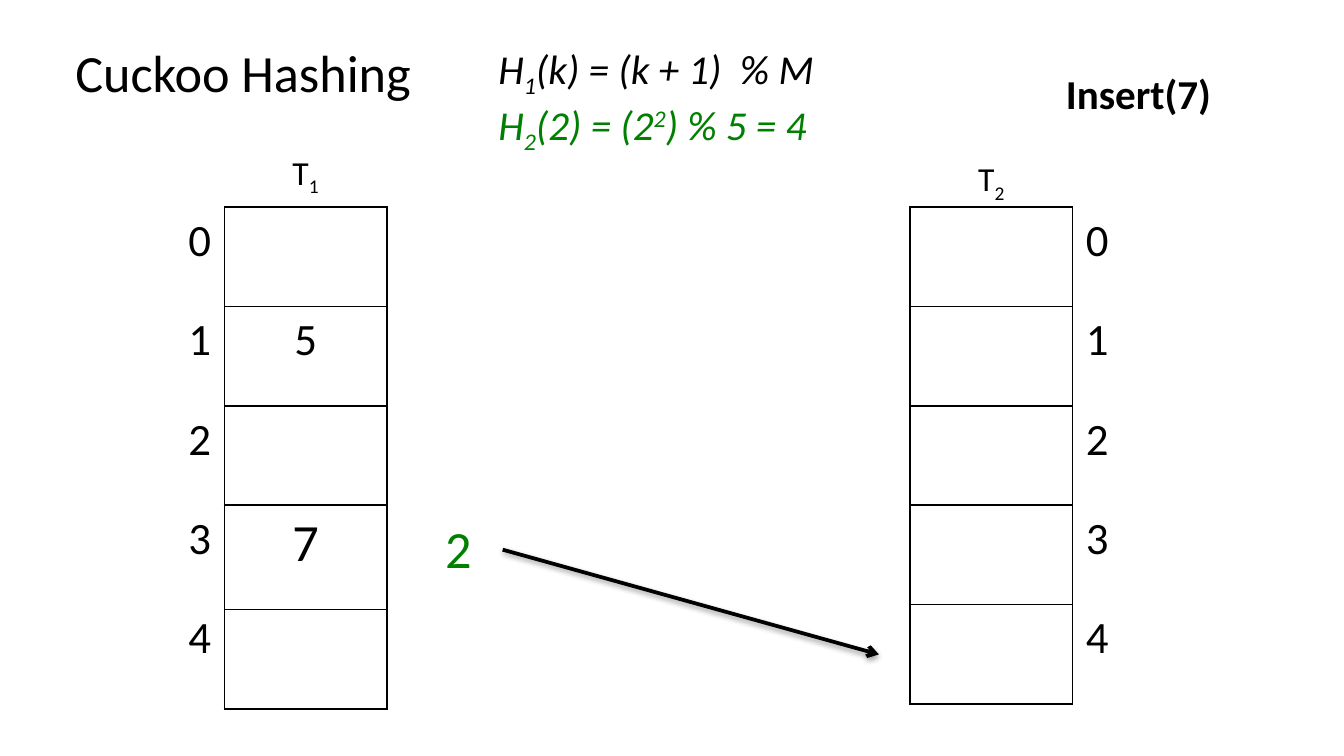
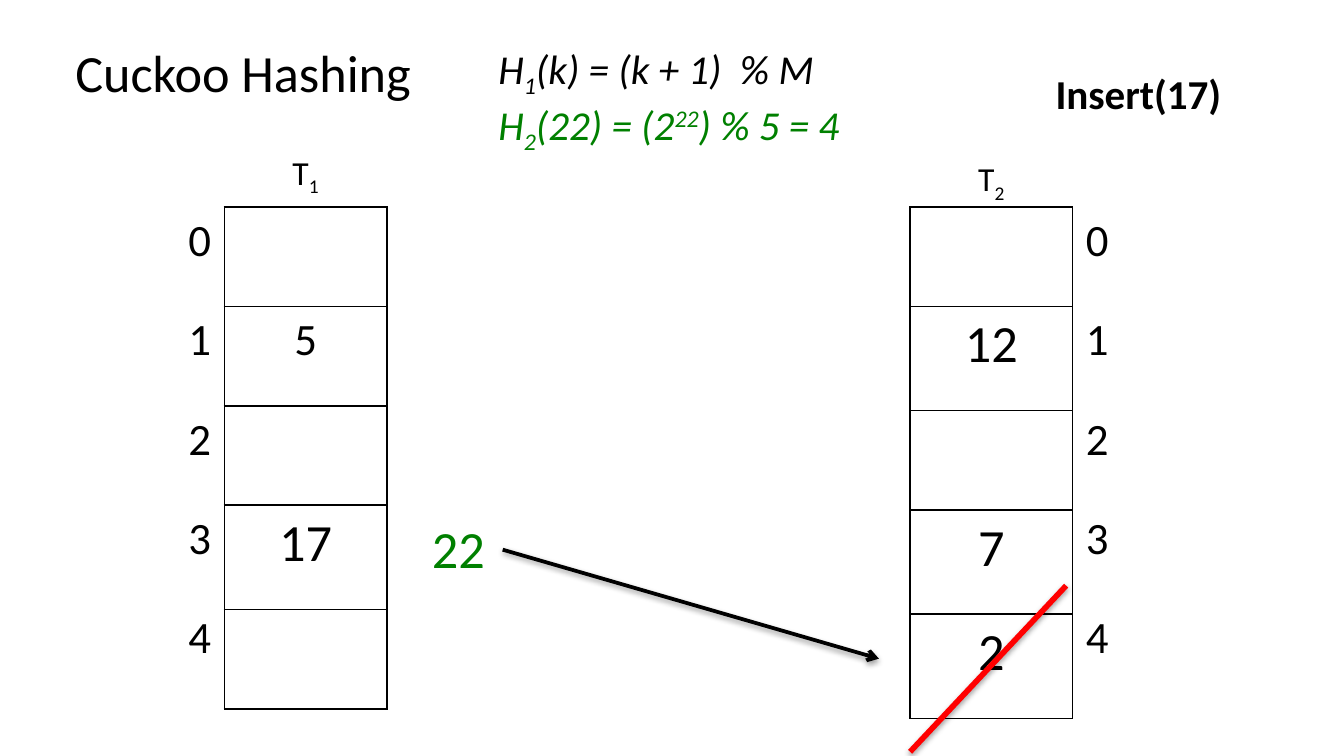
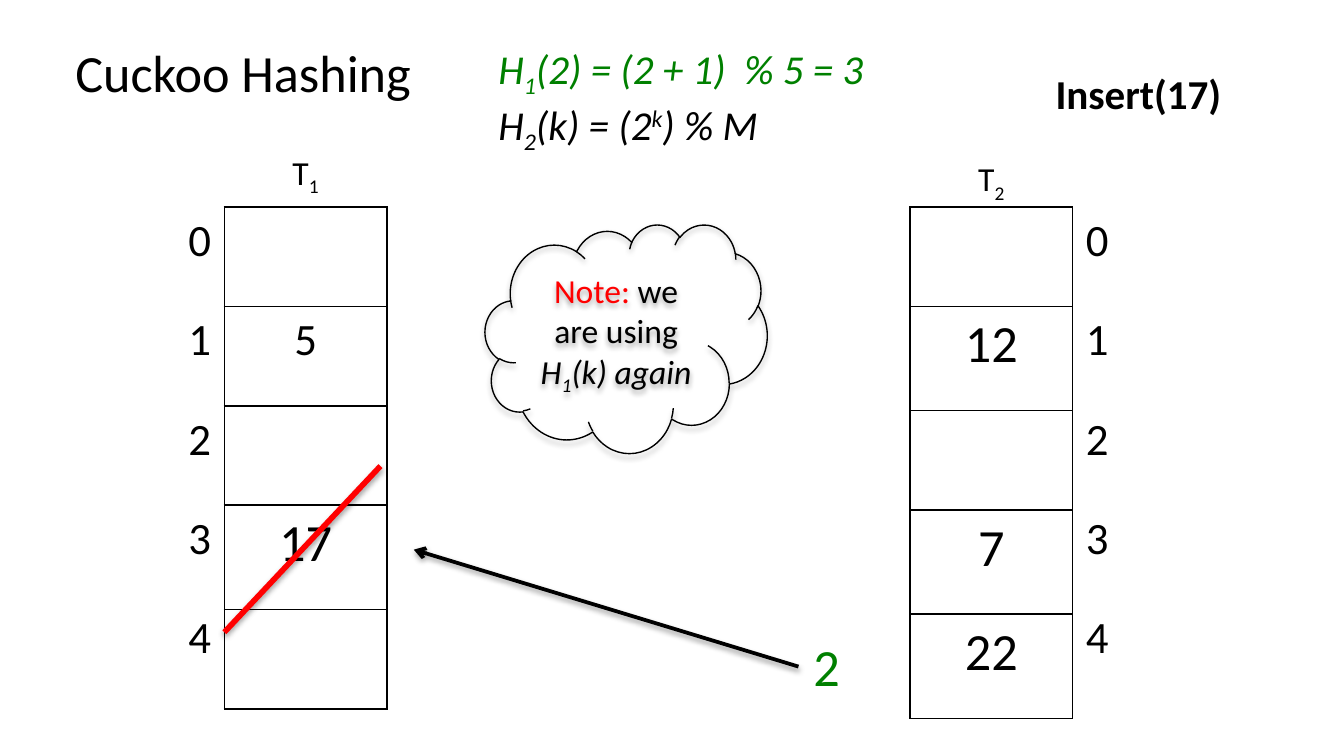
from dataclasses import dataclass

from lxml.etree import SubElement
from pptx import Presentation
from pptx.dml.color import RGBColor
from pptx.enum.shapes import MSO_CONNECTOR, MSO_SHAPE
from pptx.enum.text import MSO_ANCHOR, PP_ALIGN
from pptx.oxml.ns import qn
from pptx.util import Cm, Pt


@dataclass(frozen=True)
class Theme:
    """Colours, type sizes and table measures shared by the slides."""

    font: str = "Calibri"
    ink: str = "000000"
    accent: str = "008000"
    alert: str = "FF0000"
    large: int = 28
    index: int = 24
    formula: int = 22
    note: int = 18
    column: float = 3.07
    row: float = 1.88
    tall_row: float = 1.97
    plain_table: str = "{2D5ABB26-0587-4C30-8999-92F81FD0307C}"


@dataclass(frozen=True)
class Box:
    """A region of the page, in centimetres."""

    left: float
    top: float
    width: float
    height: float

    def inner(self, left, top, width, height):
        """Return a box placed relative to this one."""
        return Box(self.left + left, self.top + top, width, height)

    def lengths(self):
        """Return left, top, width and height as lengths."""
        return Cm(self.left), Cm(self.top), Cm(self.width), Cm(self.height)


@dataclass(frozen=True)
class Span:
    """A stretch of text with its own raise, colour or slant."""

    text: str
    baseline: int = 0
    color: str = None
    italic: bool = None


THEME = Theme()
SUB, SUPER = -25000, 30000
HEADER = Box(1.17, 0.64, 22.43, 2.2)
FIRST_TABLE = Box(4.24, 3.91, THEME.column, 9.4)
SECOND_TABLE = Box(17.2, 3.91, THEME.column, 9.4)
MIDDLE = Box(7.19, 3.91, 9.9, 9.4)


def write(para, spans, size, color=THEME.ink, bold=False, italic=False, align=PP_ALIGN.LEFT):
    """Fill a paragraph with spans in one base style."""
    para.alignment = align
    font = para.font
    font.name, font.size, font.bold, font.italic = THEME.font, Pt(size), bold, italic
    font.color.rgb = RGBColor.from_string(color)
    for span in spans:
        run = para.add_run()
        run.text = span.text
        if span.baseline:
            run._r.get_or_add_rPr().set("baseline", str(span.baseline))
        if span.color:
            run.font.color.rgb = RGBColor.from_string(span.color)
        if span.italic is not None:
            run.font.italic = span.italic


def add_text(page, box, spans, size, **style):
    """Add a wrapping text box with one paragraph."""
    frame = page.shapes.add_textbox(*box.lengths()).text_frame
    frame.word_wrap = True
    write(frame.paragraphs[0], spans, size, **style)
    return frame


def add_shadow(shape, distance, opacity):
    """Give a shape a soft shadow straight below it."""
    effects = SubElement(shape._element.spPr, qn("a:effectLst"))
    shadow = SubElement(effects, qn("a:outerShdw"), blurRad=str(Pt(3.1)),
                        dist=str(Pt(distance)), dir="5400000", rotWithShape="0")
    color = SubElement(shadow, qn("a:srgbClr"), val=THEME.ink)
    SubElement(color, qn("a:alpha"), val=str(opacity * 1000))


def add_line(page, box, start, end, color, width, arrow=False):
    """Draw a shadowed line between two points of a box."""
    points = [Cm(value) for x, y in (start, end) for value in (box.left + x, box.top + y)]
    line = page.shapes.add_connector(MSO_CONNECTOR.STRAIGHT, *points)
    line.line.color.rgb = RGBColor.from_string(color)
    line.line.width = Pt(width)
    if arrow:
        SubElement(line.line._get_or_add_ln(), qn("a:tailEnd"), type="arrow")
    add_shadow(line, 1.6, 38)


def add_borders(cell):
    """Rule all four sides of a cell."""
    properties = cell._tc.get_or_add_tcPr()
    for position, side in enumerate(("lnL", "lnR", "lnT", "lnB")):
        border = SubElement(properties, qn(f"a:{side}"), w=str(Pt(1)))
        fill = SubElement(border, qn("a:solidFill"))
        SubElement(fill, qn("a:srgbClr"), val=THEME.ink)
        properties.insert(position, border)


def add_column(page, box, entries, align, ruled=False):
    """Add a one-column table of (text, size) entries."""
    table = page.shapes.add_table(len(entries), 1, *box.lengths()).table
    table.first_row = table.horz_banding = False
    table._tbl.tblPr.find(qn("a:tableStyleId")).text = THEME.plain_table
    table.columns[0].width = Cm(box.width)
    for row, (text, size) in zip(table.rows, entries):
        row.height = Cm(THEME.tall_row if size == THEME.large else THEME.row)
        cell = row.cells[0]
        cell.fill.background()
        if text:
            write(cell.text_frame.paragraphs[0], [Span(text)], size, align=align)
        if ruled:
            add_borders(cell)


def add_hash_table(page, box, number, values, index_side, label_rise):
    """Add a named hash table with slot numbers beside it."""
    entries = [(values.get(slot, ("", THEME.note))) for slot in range(5)]
    add_column(page, box, entries, PP_ALIGN.CENTER, ruled=True)
    slots = [(str(slot), THEME.index) for slot in range(5)]
    align = PP_ALIGN.RIGHT if index_side < 0 else PP_ALIGN.LEFT
    add_column(page, box.inner(index_side * box.width, 0, box.width, box.height), slots, align)
    add_text(page, box.inner(0, -label_rise, box.width, 1.02),
             [Span("T"), Span(number, SUB)], THEME.note, align=PP_ALIGN.CENTER)


def add_header(page, box, formulas, operation):
    """Place the title, both hash functions and the operation."""
    title = page.shapes.title
    title.left, title.top, title.width, title.height = box.inner(0, 0, 7, 1.45).lengths()
    title.text_frame.vertical_anchor = MSO_ANCHOR.TOP
    write(title.text_frame.paragraphs[0], [Span("Cuckoo Hashing")], THEME.large)
    (first, first_color), (second, second_color) = formulas
    frame = add_text(page, box.inner(8, 0.05, 8.89, 2.13), first, THEME.formula,
                     color=first_color, italic=True)
    write(frame.add_paragraph(), second, THEME.formula, color=second_color, italic=True)
    add_text(page, box.inner(18.26, 0.53, 4.17, 1.19), [Span(operation)],
             THEME.formula, bold=True, align=PP_ALIGN.CENTER)


def add_moving_key(page, box, key, key_at, start, end):
    """Show an evicted key and the arrow to its next slot."""
    add_text(page, box.inner(*key_at, 2.95, 1.45), [Span(key)], THEME.large,
             color=THEME.accent, align=PP_ALIGN.CENTER)
    add_line(page, box, start, end, THEME.ink, 2, arrow=True)


def add_strike(page, box, top):
    """Cross out a slot of a hash table."""
    add_line(page, box, (2.95, top), (0, top + 3.14), THEME.alert, 3)


def add_note(page, box):
    """Add the cloud that points out the reused function."""
    cloud = page.shapes.add_shape(MSO_SHAPE.CLOUD, *box.lengths())
    cloud.fill.background()
    cloud.line.color.rgb = RGBColor.from_string(THEME.ink)
    cloud.line.width = Pt(0.75)
    add_shadow(cloud, 1.8, 35)
    frame = cloud.text_frame
    frame.word_wrap = True
    frame.vertical_anchor = MSO_ANCHOR.MIDDLE
    spans = [Span("Note: ", color=THEME.alert), Span("we are using ", color=THEME.ink),
             Span("H", 0, THEME.ink, True), Span("1", SUB, THEME.ink, True),
             Span("(k) again", 0, THEME.ink, True)]
    write(frame.paragraphs[0], spans, THEME.note, align=PP_ALIGN.CENTER)


def first_formula(rest, color=THEME.ink):
    """Return the spans and colour of the first hash function."""
    return [Span("H"), Span("1", SUB), Span(rest)], color


def second_formula(key, result, color=THEME.ink):
    """Return the spans and colour of the second hash function."""
    return [Span("H"), Span("2", SUB), Span(f"({key}) = (2"),
            Span(key, SUPER), Span(f") % {result}")], color


def add_step(deck, formulas, operation, first_key, second_keys):
    """Add a slide with the header and both hash tables."""
    page = deck.slides.add_slide(deck.slide_layouts[5])
    add_header(page, HEADER, formulas, operation)
    first = {1: ("5", THEME.index), 3: (first_key, THEME.large)}
    second = {slot: (key, THEME.large) for slot, key in second_keys.items()}
    add_hash_table(page, FIRST_TABLE, "1", first, -1, 1.17)
    add_hash_table(page, SECOND_TABLE, "2", second, 1, 1.04)
    return page


def main():
    """Build the three steps and save the deck."""
    deck = Presentation()
    deck.slide_width, deck.slide_height = Cm(25.4), Cm(14.29)
    general = first_formula("(k) = (k + 1)  % M")

    page = add_step(deck, (general, second_formula("2", "5 = 4", THEME.accent)),
                    "Insert(7)", "7", {})
    add_moving_key(page, MIDDLE, "2", (0, 5.72), (2.31, 6.48), (9.42, 8.46))

    page = add_step(deck, (general, second_formula("22", "5 = 4", THEME.accent)),
                    "Insert(17)", "17", {1: "12", 3: "7", 4: "2"})
    add_moving_key(page, MIDDLE, "22", (0, 5.72), (2.31, 6.48), (9.42, 8.54))
    add_strike(page, SECOND_TABLE, 7.16)

    formulas = first_formula("(2) = (2 + 1)  % 5 = 3", THEME.accent), second_formula("k", "M")
    page = add_step(deck, formulas, "Insert(17)", "17", {1: "12", 3: "7", 4: "22"})
    add_moving_key(page, MIDDLE, "2", (6.96, 7.95), (7.9, 8.69), (0.63, 6.48))
    add_note(page, MIDDLE.inner(1.98, 0.33, 5.33, 4.32))
    add_strike(page, FIRST_TABLE, 4.9)

    deck.save("out.pptx")


if __name__ == "__main__":
    main()
